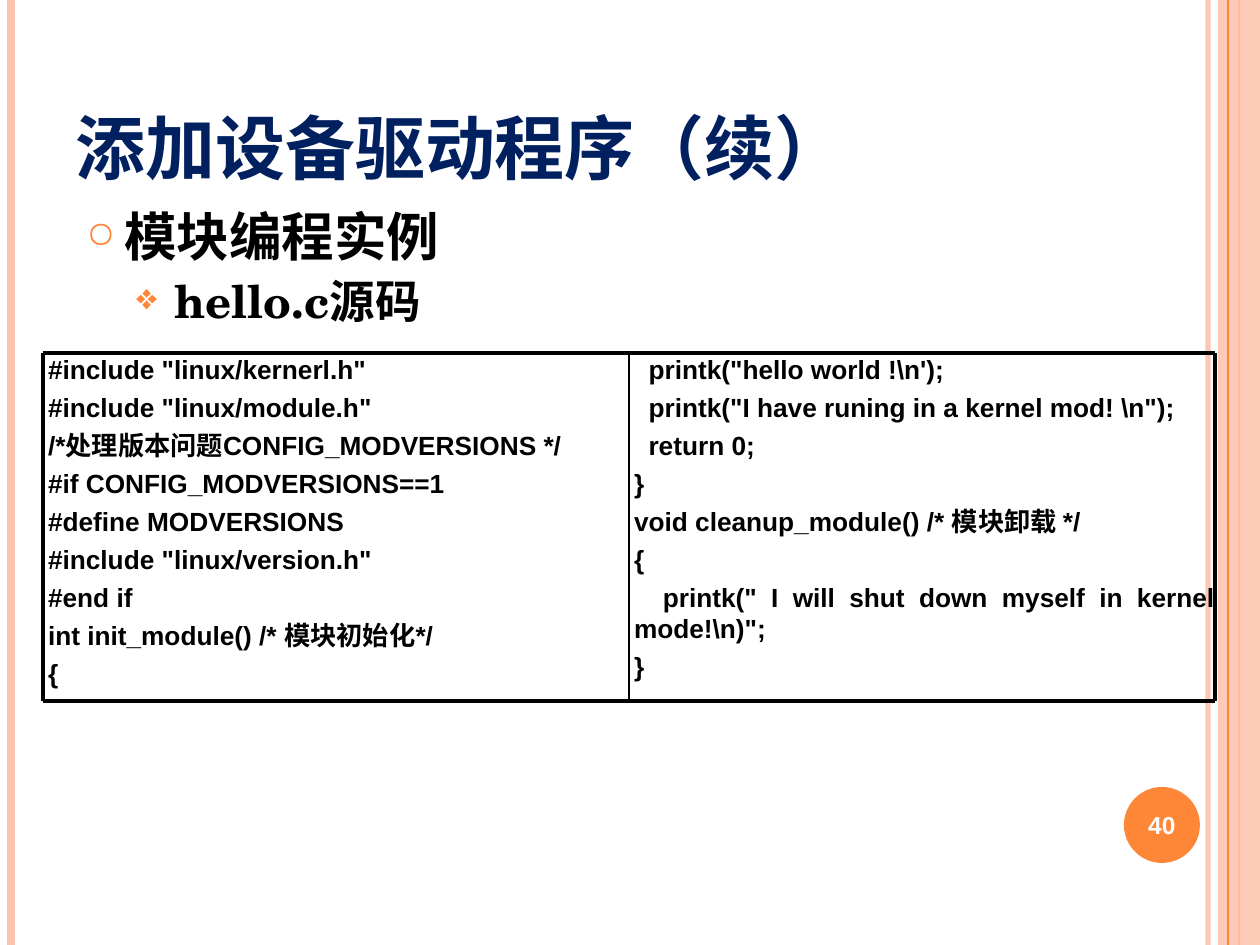
from lxml import etree
from pptx import Presentation
from pptx.dml.color import RGBColor
from pptx.enum.shapes import MSO_CONNECTOR, MSO_SHAPE
from pptx.enum.text import MSO_ANCHOR, PP_ALIGN
from pptx.oxml.ns import qn
from pptx.util import Emu, Pt

STRAIGHT = MSO_CONNECTOR.STRAIGHT
RECTANGLE, OVAL = MSO_SHAPE.RECTANGLE, MSO_SHAPE.OVAL
BOTTOM, MIDDLE = MSO_ANCHOR.BOTTOM, MSO_ANCHOR.MIDDLE
CENTER, JUSTIFY = PP_ALIGN.CENTER, PP_ALIGN.JUSTIFY

WIDTH, HEIGHT = 1260, 945
ORANGE, PEACH, NAVY, BLACK, WHITE = "FE8637", "FEC3AE", "002060", "000000", "FFFFFF"
SERIF, SANS, CHINESE, SYMBOLS = "TeX Gyre Schola", "Arial", "Noto Sans CJK SC", "OpenSymbol"

TITLE = "添加设备驱动程序（续）"
OUTLINE = [
    {"text": "模块编程实例", "level": 0, "font": CHINESE, "size": 30, "before": 0,
     "bullet": "○", "bullet_size": 70, "left": 38},
    {"text": "hello.c源码", "level": 1, "font": SERIF, "size": 26, "before": 6.5,
     "bullet": "❖", "bullet_size": 80, "left": 88},
]
HANGING = 38
SOURCE_CODE = [
    [
        '#include "linux/kernerl.h"',
        '#include "linux/module.h"',
        "/*处理版本问题CONFIG_MODVERSIONS */",
        "#if CONFIG_MODVERSIONS==1",
        "#define MODVERSIONS",
        '#include "linux/version.h"',
        "#end if",
        "int init_module() /* 模块初始化*/",
        "{",
    ],
    [
        "  printk(\"hello world !\\n');",
        '  printk("I have runing in a kernel mod! \\n");',
        "  return 0;",
        "}",
        "void cleanup_module() /* 模块卸载 */",
        "{",
        '  printk(" I will shut down myself in kernel mode!\\n)";',
        "}",
    ],
]
PAGE_NUMBER = "40"
STRIPES_BEHIND = [(1208, PEACH, 3, 93), (11, PEACH, 4.5, 100), (1239, ORANGE, 1.5, 100)]
STRIPE_FRONT = (1228, ORANGE, 0.75, 100)
CODE_LEFT, CODE_TOP, CODE_COLUMN, CODE_HEIGHT = 43, 353, 586, 348
OUTER_RULE, INNER_RULE = 2.25, 1


def px(length):
    return Emu(round(length * 914400 / 126))


def rgb(value):
    return RGBColor.from_string(value)


def add_xml(parent, tag, **attributes):
    return etree.SubElement(parent, qn(tag), attributes)


def set_opacity(fill_owner, percent):
    color = next(fill_owner.iter(qn("a:srgbClr")))
    add_xml(color, "a:alpha", val=str(percent * 1000))


def style(paragraph, font, size, color):
    paragraph.font.name = font
    paragraph.font.size = Pt(size)
    paragraph.font.bold = True
    paragraph.font.color.rgb = rgb(color)
    add_xml(paragraph._p.pPr.find(qn("a:defRPr")), "a:ea", typeface=CHINESE)


def add_rule(x1, y1, x2, y2, color, width):
    rule = slide.shapes.add_connector(STRAIGHT, px(x1), px(y1), px(x2), px(y2))
    rule.line.color.rgb = rgb(color)
    rule.line.width = Pt(width)
    add_xml(rule._element.spPr, "a:effectLst")
    return rule


def add_stripe(x, color, width, opacity):
    stripe = add_rule(x, 0, x, HEIGHT, color, width)
    if opacity < 100:
        set_opacity(stripe._element.spPr, opacity)


def add_plain_shape(kind, color, *box):
    shape = slide.shapes.add_shape(kind, *map(px, box))
    shape.shadow.inherit = False
    shape.fill.solid()
    shape.fill.fore_color.rgb = rgb(color)
    shape.line.fill.background()
    return shape


def add_text_frame(*box):
    frame = slide.shapes.add_textbox(*map(px, box)).text_frame
    frame.word_wrap = True
    return frame


def set_margins(frame, left):
    frame.margin_left = px(left)
    frame.margin_right = frame.margin_top = frame.margin_bottom = 0


def fill_paragraphs(frame, texts):
    frame.text = "\n".join(texts)
    return frame.paragraphs


def add_bullet(paragraph, item):
    properties = paragraph._p.get_or_add_pPr()
    properties.set("marL", str(px(item["left"])))
    properties.set("indent", str(-px(HANGING)))
    add_xml(add_xml(properties, "a:buClr"), "a:srgbClr", val=ORANGE)
    add_xml(properties, "a:buSzPct", val=str(item["bullet_size"] * 1000))
    add_xml(properties, "a:buFont", typeface=SYMBOLS)
    add_xml(properties, "a:buChar", char=item["bullet"])


presentation = Presentation()
presentation.slide_width, presentation.slide_height = px(WIDTH), px(HEIGHT)
slide = presentation.slides.add_slide(presentation.slide_layouts[6])

for stripe in STRIPES_BEHIND:
    add_stripe(*stripe)
band = add_plain_shape(RECTANGLE, PEACH, 1218, 0, 42, HEIGHT)
set_opacity(band._element.spPr, 87)
add_stripe(*STRIPE_FRONT)

badge = add_plain_shape(OVAL, ORANGE, 1124, 787, 76, 76).text_frame
set_margins(badge, 0)
badge.vertical_anchor = MIDDLE
number = fill_paragraphs(badge, [PAGE_NUMBER])[0]
number.alignment = CENTER
style(number, SANS, 14, WHITE)

heading = add_text_frame(63, 38, 1029, 157)
heading.vertical_anchor = BOTTOM
style(fill_paragraphs(heading, [TITLE])[0], SERIF, 40, NAVY)

outline = add_text_frame(74, 205, 1144, 625)
for paragraph, item in zip(fill_paragraphs(outline, [item["text"] for item in OUTLINE]), OUTLINE):
    paragraph.level = item["level"]
    paragraph.line_spacing = 0.9
    paragraph.space_before = Pt(item["before"])
    add_bullet(paragraph, item)
    style(paragraph, item["font"], item["size"], BLACK)

for column, lines in enumerate(SOURCE_CODE):
    listing = add_text_frame(CODE_LEFT + column * CODE_COLUMN, CODE_TOP, CODE_COLUMN, CODE_HEIGHT)
    set_margins(listing, 5)
    for row, paragraph in enumerate(fill_paragraphs(listing, lines)):
        paragraph.alignment = JUSTIFY
        paragraph.line_spacing = Pt(18)
        paragraph.space_before = Pt(3.7 if row else 0)
        style(paragraph, SANS, 15, BLACK)

code_right = CODE_LEFT + CODE_COLUMN * len(SOURCE_CODE)
code_bottom = CODE_TOP + CODE_HEIGHT
for y in (CODE_TOP, code_bottom):
    add_rule(CODE_LEFT, y, code_right, y, BLACK, OUTER_RULE)
for edge in range(len(SOURCE_CODE) + 1):
    x = CODE_LEFT + edge * CODE_COLUMN
    rule_width = OUTER_RULE if edge in (0, len(SOURCE_CODE)) else INNER_RULE
    add_rule(x, CODE_TOP, x, code_bottom, BLACK, rule_width)

presentation.save("out.pptx")
